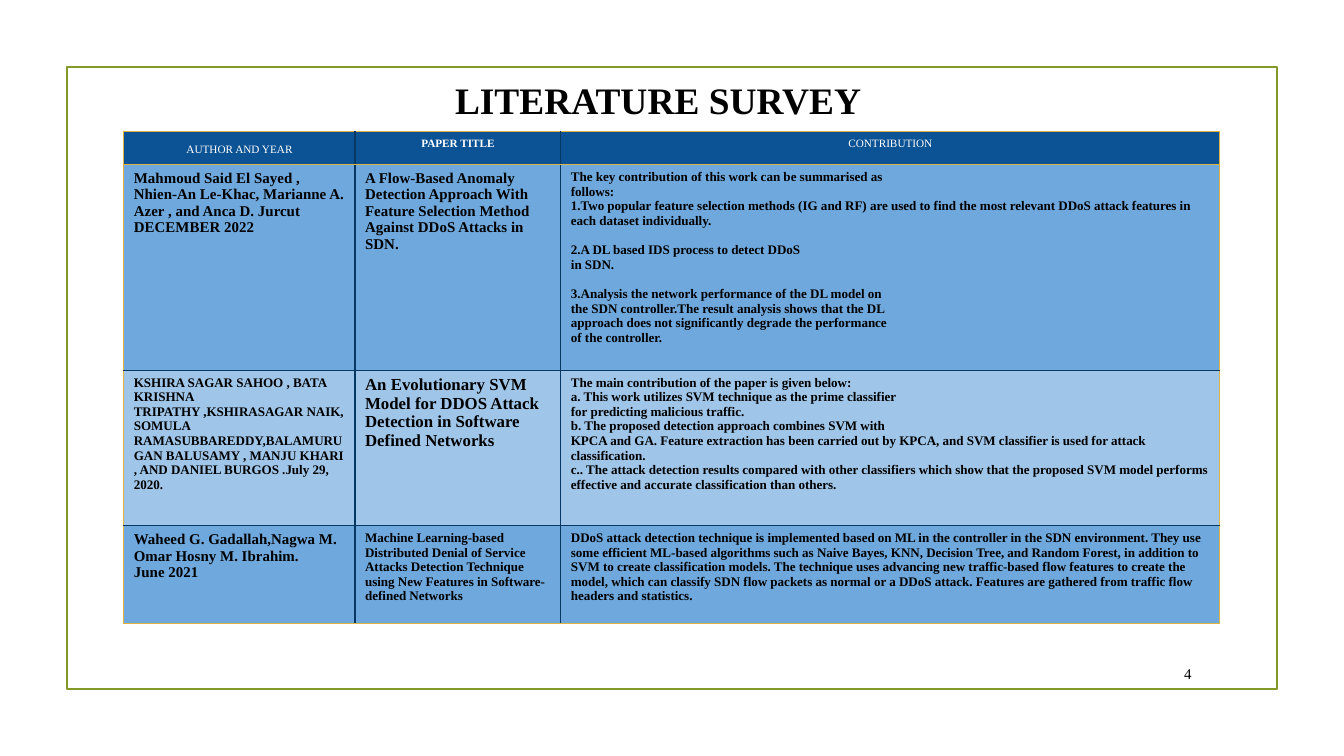
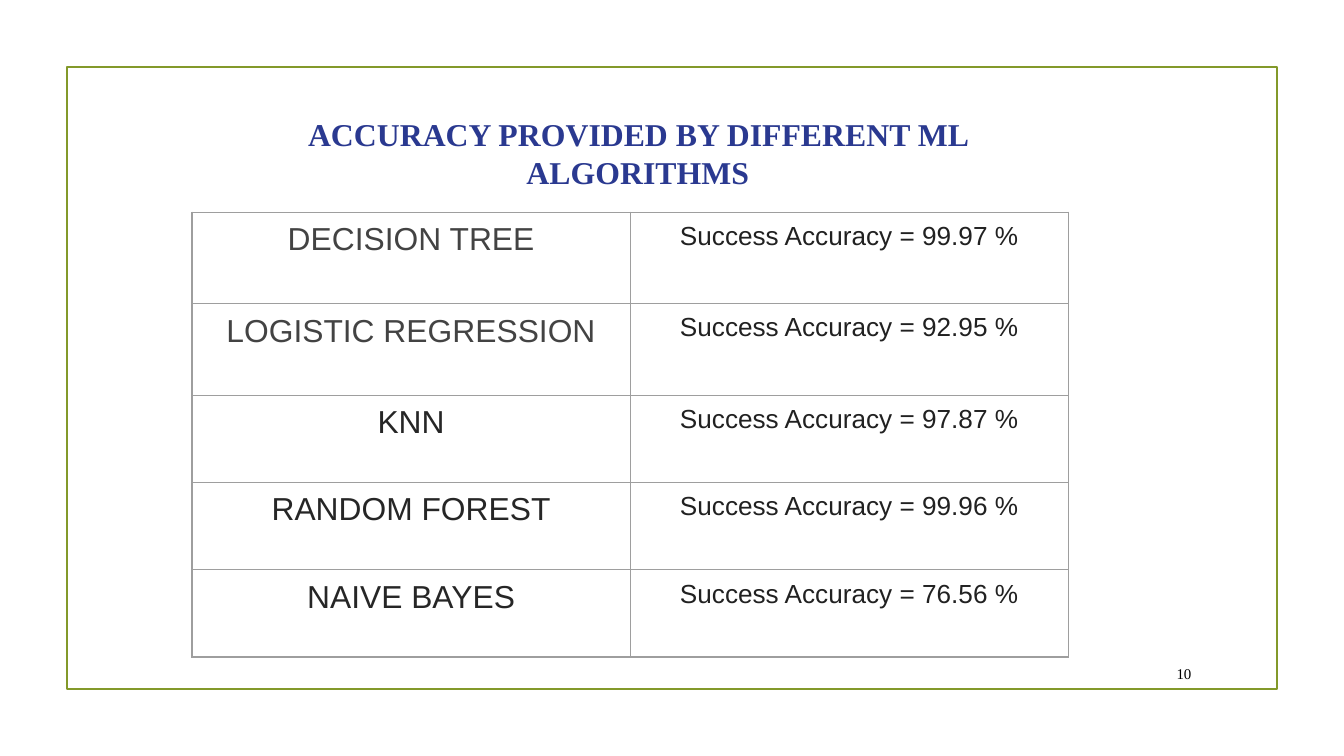
from dataclasses import dataclass

from lxml import etree
from pptx import Presentation
from pptx.dml.color import RGBColor
from pptx.enum.shapes import MSO_SHAPE as Shape
from pptx.enum.text import MSO_ANCHOR as Anchor, MSO_AUTO_SIZE as AutoSize, PP_ALIGN as Align
from pptx.oxml.ns import qn
from pptx.util import Cm, Pt

COLORS = {
    "frame": "83992A", "black": "000000", "white": "FFFFFF", "heading": "2A3990",
    "header": "0B5394", "band": "6FA8DC", "light_band": "9FC5E8",
    "gold": "DEB340", "navy": "073763", "grid": "9E9E9E",
    "gray": "434343", "charcoal": "262626", "ink": "212121",
}
SERIF, SANS = "Times New Roman", "Arial"

SURVEY_HEADERS = [("AUTHOR AND YEAR", False, 1.5), ("PAPER TITLE", True, 1), ("CONTRIBUTION", False, 1)]
SURVEY = [
    [
        (["Mahmoud Said El Sayed , Nhien-An Le-Khac, Marianne A. Azer , and Anca D. Jurcut\nDECEMBER 2022"], 8),
        (["A Flow-Based Anomaly Detection Approach With Feature Selection Method Against DDoS Attacks in SDN."], 8),
        (["The key contribution of this work can be summarised as\nfollows:\n"
          "1.Two popular feature selection methods (IG and RF) are used to find the most relevant "
          "DDoS attack features in each dataset individually.",
          "2.A DL based IDS process to detect DDoS\nin SDN.",
          "3.Analysis the network performance of the DL model on\n"
          "the SDN controller.The result analysis shows that the DL\n"
          "approach does not significantly degrade the performance\nof the controller."], 7),
    ],
    [
        (["KSHIRA SAGAR SAHOO , BATA KRISHNA TRIPATHY ,KSHIRASAGAR NAIK, SOMULA "
          "RAMASUBBAREDDY,BALAMURUGAN BALUSAMY , MANJU KHARI , AND DANIEL BURGOS .July 29, 2020."], 7),
        (["An Evolutionary SVM Model for DDOS Attack Detection in Software Defined Networks"], 9),
        (["The main contribution of the paper is given below:\n"
          "a. This work utilizes SVM technique as the prime classifier\nfor predicting malicious traffic.\n"
          "b. The proposed detection approach combines SVM with\n"
          "KPCA and GA. Feature extraction has been carried out by KPCA, and SVM classifier is used for "
          "attack classification.\n"
          "c.. The attack detection results compared with other classifiers which show that the proposed "
          "SVM model performs effective and accurate classification than others."], 7),
    ],
    [
        (["Waheed G. Gadallah,Nagwa M. Omar Hosny M. Ibrahim.\nJune 2021"], 8),
        (["Machine Learning-based Distributed Denial of Service Attacks Detection Technique using New "
          "Features in Software-defined Networks"], 7),
        (["DDoS attack detection technique is implemented based on ML in the controller in the SDN "
          "environment. They use some efficient ML-based algorithms such as Naive Bayes, KNN, Decision Tree, "
          "and Random Forest, in addition to SVM to create classification models. The technique uses "
          "advancing new traffic-based flow features to create the model, which can classify SDN flow packets "
          "as normal or a DDoS attack. Features are gathered from traffic flow headers and statistics."], 7),
    ],
]
ACCURACY = [
    ("DECISION TREE", "99.97", "gray"),
    ("LOGISTIC REGRESSION", "92.95", "gray"),
    ("KNN", "97.87", "charcoal"),
    ("RANDOM FOREST", "99.96", "charcoal"),
    ("NAIVE BAYES", "76.56", "charcoal"),
]


@dataclass
class Box:
    """A rectangle in centimetres."""
    left: float
    top: float
    width: float
    height: float

    def lengths(self):
        """Return the four sides as slide lengths."""
        return [Cm(side) for side in (self.left, self.top, self.width, self.height)]


@dataclass
class Style:
    """The look of a piece of text."""
    size: float
    color: str = "black"
    bold: bool = False
    font: str = SERIF
    align: Align = Align.LEFT
    spacing: float = 1


def rgb(name):
    """Look up a named colour."""
    return RGBColor.from_string(COLORS[name])


def format_para(para, style):
    """Apply a text style to a paragraph and its runs."""
    para.alignment = style.align
    para.line_spacing = style.spacing
    for span in para.runs:
        span.font.size = Pt(style.size)
        span.font.name = style.font
        span.font.bold = style.bold
        span.font.color.rgb = rgb(style.color)


def write_blocks(frame, blocks, style):
    """Write blocks of lines, setting each block apart by one line."""
    frame.text = "\n".join(blocks)
    starts = [sum(len(block.split("\n")) for block in blocks[:count]) for count in range(1, len(blocks))]
    for index, para in enumerate(frame.paragraphs):
        format_para(para, style)
        if index in starts:
            para.space_before = Pt(round(style.size * 1.15))


def set_margins(target, across, down):
    """Set the side and the top and bottom insets in centimetres."""
    target.margin_left = target.margin_right = Cm(across)
    target.margin_top = target.margin_bottom = Cm(down)


def fill_text_shape(shape, text, style, anchor, down):
    """Write wrapped text of fixed size into a shape."""
    frame = shape.text_frame
    frame.word_wrap = True
    frame.auto_size = AutoSize.NONE
    frame.vertical_anchor = anchor
    set_margins(frame, 0.18, down)
    write_blocks(frame, [text], style)


def add_page(deck, title, title_box, title_style, number):
    """Add a framed page with its title and page number."""
    page = deck.slides.add_slide(deck.slide_layouts[5])
    border = page.shapes.add_shape(Shape.RECTANGLE, *Box(1.27, 1.27, 22.86, 11.76).lengths())
    border.shadow.inherit = False
    border.fill.background()
    border.line.color.rgb = rgb("frame")
    border.line.width = Pt(1.25)

    heading = page.shapes.title
    heading.left, heading.top, heading.width, heading.height = title_box.lengths()
    fill_text_shape(heading, title, title_style, Anchor.TOP, 0.18)

    footer = page.shapes.add_textbox(*Box(21.56, 12.45, 1.14, 0.58).lengths())
    fill_text_shape(footer, str(number), Style(8, align=Align.RIGHT), Anchor.MIDDLE, 0.1)
    return page


def add_plain_table(page, box, widths, heights):
    """Add a table without banding, sized by its columns and rows."""
    table = page.shapes.add_table(len(heights), len(widths), *box.lengths()).table
    table.first_row = table.horz_banding = False
    for column, width in zip(table.columns, widths):
        column.width = Cm(width)
    for row, height in zip(table.rows, heights):
        row.height = Cm(height)
    return table


def set_borders(cell, left, right, top, bottom):
    """Draw the four borders of a cell in named colours."""
    properties = cell._tc.get_or_add_tcPr()
    for side, color in zip("LRTB", (left, right, top, bottom)):
        line = etree.SubElement(properties, qn(f"a:ln{side}"), w=str(Pt(0.75)))
        fill = etree.SubElement(line, qn("a:solidFill"))
        etree.SubElement(fill, qn("a:srgbClr"), val=COLORS[color])


def fill_survey_cell(cell, blocks, style, fill, borders):
    """Write and colour one cell of the survey."""
    set_margins(cell, 0.19, 0.1)
    set_borders(cell, *borders)
    cell.fill.solid()
    cell.fill.fore_color.rgb = rgb(fill)
    write_blocks(cell.text_frame, blocks, style)


def add_survey_table(page, box):
    """Add the table of surveyed papers."""
    table = add_plain_table(page, box, [4.37, 3.89, 12.45], [0.62, 3.89, 2.94, 1.85])
    last = len(SURVEY)
    for column, (label, bold, spacing) in enumerate(SURVEY_HEADERS):
        sides = ("gold" if column == 0 else "navy", "gold" if column == 2 else "navy")
        style = Style(6, "white", bold, align=Align.CENTER, spacing=spacing)
        fill_survey_cell(table.cell(0, column), [label], style, "header", (*sides, "gold", "gold"))
        for row, paper in enumerate(SURVEY, 1):
            blocks, size = paper[column]
            borders = (*sides, "gold" if row == 1 else "navy", "gold" if row == last else "navy")
            fill = "band" if row % 2 else "light_band"
            fill_survey_cell(table.cell(row, column), blocks, Style(size, bold=True), fill, borders)


def add_accuracy_table(page, box):
    """Add the table of algorithms and their accuracy."""
    table = add_plain_table(page, box, [box.width / 2] * 2, [1.73] * 2 + [1.65] * 3)
    for row, (algorithm, percent, color) in enumerate(ACCURACY):
        entries = [(algorithm, 17, color), (f"Success Accuracy = {percent} %", 14, "ink")]
        for column, (text, size, ink) in enumerate(entries):
            cell = table.cell(row, column)
            set_margins(cell, 0.18, 0.18)
            set_borders(cell, *["grid"] * 4)
            cell.fill.background()
            write_blocks(cell.text_frame, [text], Style(size, ink, font=SANS, align=Align.CENTER))


def main():
    """Build and save the deck."""
    deck = Presentation()
    deck.slide_width, deck.slide_height = Cm(25.4), Cm(14.29)

    survey_title = Style(20, bold=True, align=Align.CENTER, spacing=0.8)
    page = add_page(deck, "LITERATURE SURVEY", Box(5.11, 1.45, 14.66, 1.9), survey_title, 4)
    add_survey_table(page, Box(2.34, 2.49, 20.71, 9.3))

    accuracy_title = Style(17, "heading", True, align=Align.CENTER)
    page = add_page(deck, "ACCURACY PROVIDED BY DIFFERENT ML ALGORITHMS",
                    Box(4.27, 1.98, 15.57, 1.83), accuracy_title, 10)
    add_accuracy_table(page, Box(3.63, 4.01, 16.56, 8.41))

    deck.save("out.pptx")


if __name__ == "__main__":
    main()
